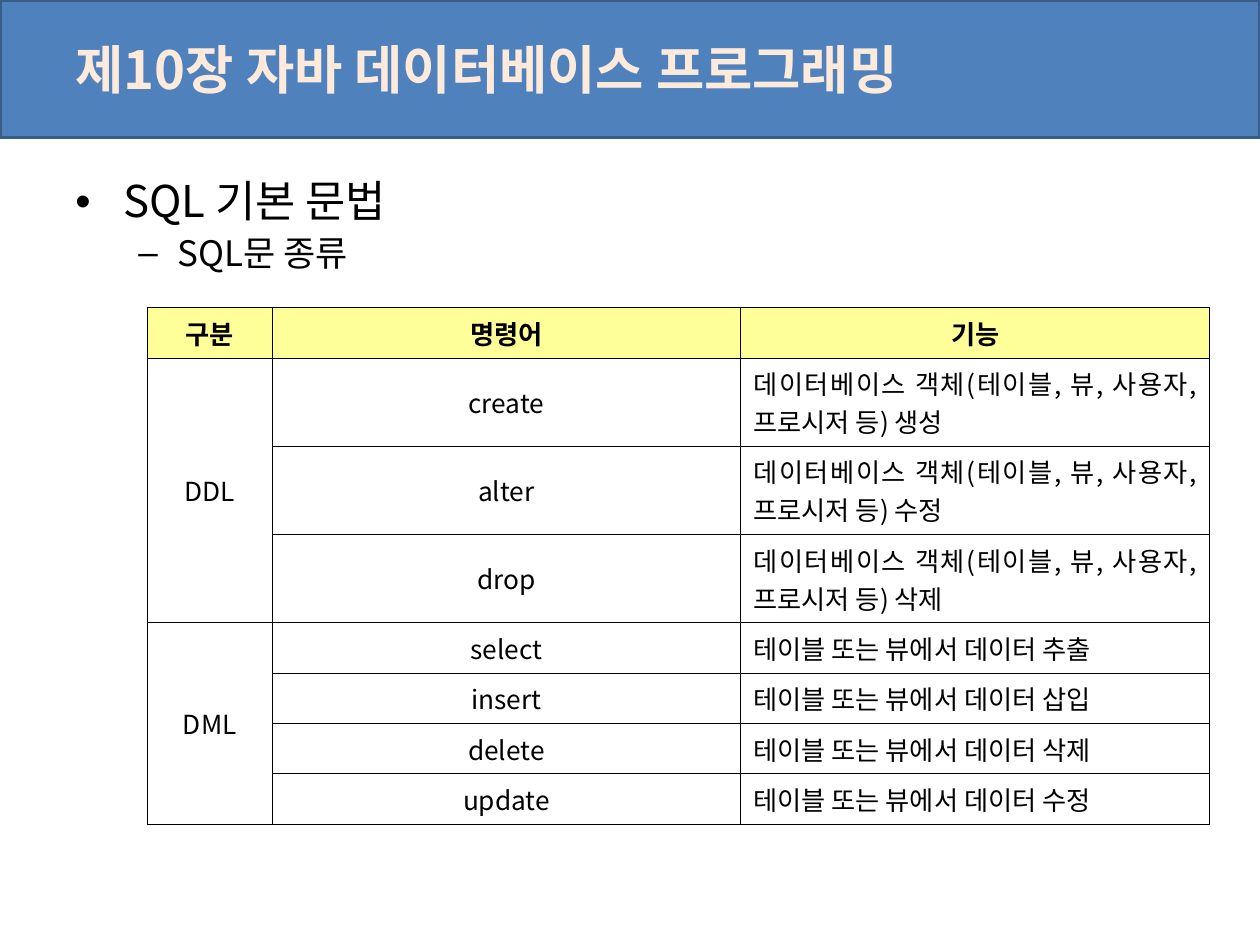
from lxml.etree import SubElement as Sub
from pptx import Presentation
from pptx.dml.color import RGBColor as Rgb
from pptx.enum.shapes import MSO_SHAPE as Kind
from pptx.enum.text import MSO_ANCHOR as Anchor, PP_ALIGN as Align
from pptx.oxml.ns import qn
from pptx.util import Inches, Pt

FONT = "Noto Sans CJK KR"
HUE = {"band": "4F81BD", "edge": "385D8A", "title": "FDEADA",
       "head": "FFFF99", "ink": "000000"}
HEAD = ["구분", "명령어", "기능"]
OBJ = "데이터베이스 객체(테이블, 뷰, 사용자, 프로시저 등) "
ROW = "테이블 또는 뷰에서 데이터 "
GROUPS = {
    "DDL": [("create", OBJ + "생성"), ("alter", OBJ + "수정"), ("drop", OBJ + "삭제")],
    "DML": [("select", ROW + "추출"), ("insert", ROW + "삽입"),
            ("delete", ROW + "삭제"), ("update", ROW + "수정")],
}
COLS = [0.99, 3.72, 3.72]
TALL = {"DDL": 0.7, "DML": 0.4}


def paint(fill, hue):
    fill.solid()
    fill.fore_color.rgb = Rgb.from_string(HUE[hue])


def style(para, size, hue="ink", bold=False):
    for run in para.runs:
        font = run.font
        font.size, font.bold, font.name = Pt(size), bold, FONT
        font.color.rgb = Rgb.from_string(HUE[hue])
        Sub(run.font._element, qn("a:ea"), typeface=FONT)


def add_title(slide, text):
    width = prs_width = Inches(10)
    band = slide.shapes.add_shape(Kind.RECTANGLE, 0, 0, width, Inches(1.09))
    band.shadow.inherit = False
    paint(band.fill, "band")
    paint(band.line.fill, "edge")
    band.line.width = Pt(2)
    title = slide.shapes.title
    title.element.addprevious(band.element)
    title.left, title.top = int(prs_width * 0.05), Inches(-0.08)
    title.width, title.height = int(prs_width * 0.9), Inches(1.25)
    frame = title.text_frame
    frame.text = text
    frame.vertical_anchor = Anchor.MIDDLE
    para = frame.paragraphs[0]
    para.alignment = Align.LEFT
    style(para, 30, "title", True)


def add_point(para, text, level, size, mark, left, hang):
    para.text, para.level = text, level
    para.space_before, para.line_spacing = Pt(size / 4), 0.9
    style(para, size)
    props = para._p.get_or_add_pPr()
    props.set("marL", str(Inches(left)))
    props.set("indent", str(Inches(-hang)))
    Sub(props, qn("a:buFont"), typeface="Arial")
    Sub(props, qn("a:buChar"), char=mark)


def add_points(slide):
    box = slide.shapes.add_textbox(Inches(0.5), Inches(1.38), Inches(9), Inches(4.95))
    frame = box.text_frame
    frame.word_wrap = True
    add_point(frame.paragraphs[0], "SQL 기본 문법", 0, 25, "•", 0.38, 0.38)
    add_point(frame.add_paragraph(), "SQL문 종류", 1, 20, "–", 0.81, 0.31)


def rule_cell(cell):
    props = cell._tc.get_or_add_tcPr()
    for index, side in enumerate(("lnL", "lnR", "lnT", "lnB")):
        line = Sub(props, qn("a:" + side), w=str(Pt(0.45)))
        fill = Sub(line, qn("a:solidFill"))
        Sub(fill, qn("a:srgbClr"), val=HUE["ink"])
        props.insert(index, line)


def set_cell(cell, text, align=Align.CENTER, head=False):
    cell.text = text
    cell.vertical_anchor = Anchor.MIDDLE
    para = cell.text_frame.paragraphs[0]
    para.alignment = align
    style(para, 15, bold=head)
    if head:
        paint(cell.fill, "head")
    else:
        cell.fill.background()
    rule_cell(cell)


def add_grid(slide):
    highs = [0.4] + [TALL[name] for name, rows in GROUPS.items() for _ in rows]
    frame = slide.shapes.add_table(len(highs), len(COLS), Inches(1.17), Inches(2.44),
                                   Inches(sum(COLS)), Inches(sum(highs)))
    table = frame.table
    for col, wide in zip(table.columns, COLS):
        col.width = Inches(wide)
    for row, high in zip(table.rows, highs):
        row.height = Inches(high)
    for col, text in enumerate(HEAD):
        set_cell(table.cell(0, col), text, head=True)
    top = 1
    for name, rows in GROUPS.items():
        for row, (word, role) in enumerate(rows, top):
            set_cell(table.cell(row, 0), name if row == top else "")
            set_cell(table.cell(row, 1), word)
            set_cell(table.cell(row, 2), role, Align.JUSTIFY)
        end = top + len(rows)
        table.cell(top, 0).merge(table.cell(end - 1, 0))
        top = end


def main():
    prs = Presentation()
    prs.slide_width, prs.slide_height = Inches(10), Inches(7.5)
    slide = prs.slides.add_slide(prs.slide_layouts[5])
    add_title(slide, "제10장 자바 데이터베이스 프로그래밍")
    add_points(slide)
    add_grid(slide)
    prs.save("out.pptx")


if __name__ == "__main__":
    main()
